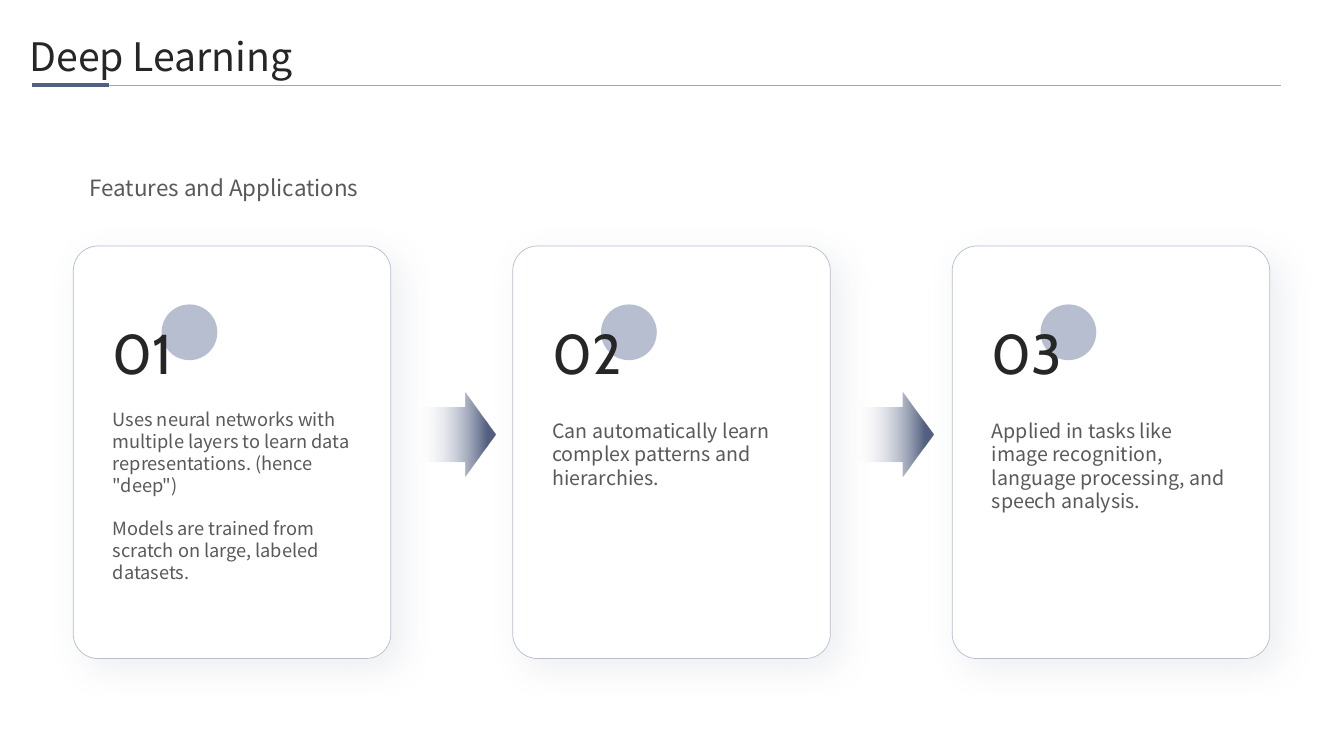
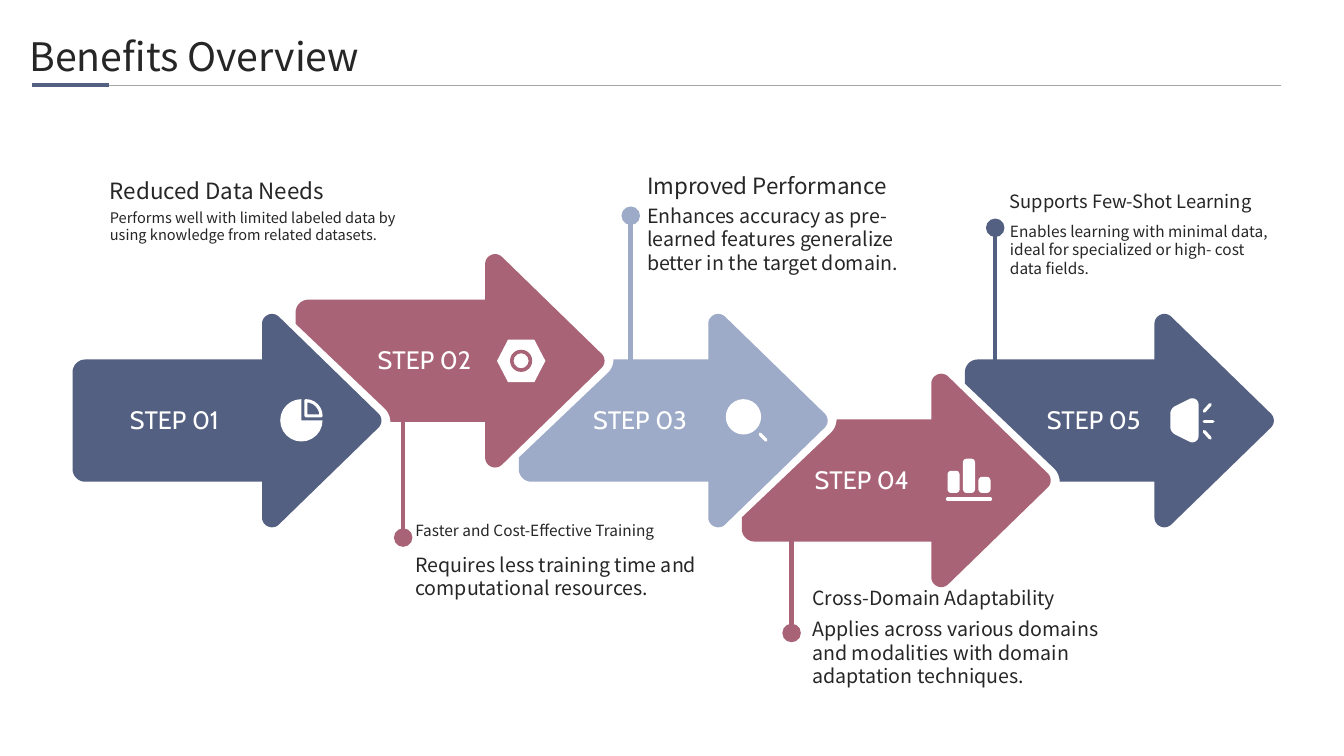
from math import atan2, dist, pi, tan

from lxml import etree
from pptx import Presentation
from pptx.dml.color import RGBColor
from pptx.enum.shapes import MSO_CONNECTOR, MSO_SHAPE
from pptx.enum.text import MSO_ANCHOR, MSO_AUTO_SIZE, PP_ALIGN
from pptx.oxml import parse_xml
from pptx.oxml.ns import nsdecls, qn
from pptx.util import Inches, Pt

COLORS = {name: RGBColor.from_string(value) for name, value in {
    "navy": "536081", "rose": "A96377", "sky": "9DABC8", "mist": "B6BED0",
    "white": "FFFFFF", "ink": "262626", "gray": "595959", "rule": "A6A6A6",
}.items()}
BODY_FONT, NUMBER_FONT = "Noto Sans CJK SC", "Cabin"

presentation = Presentation()
presentation.slide_width = Inches(13.3333)
presentation.slide_height = Inches(7.5)
# The grid has 100 square cells across the slide; every length counts cells.
CELL = presentation.slide_width / 100


def add_preset(slide, kind, box, color, adjustments=()):
    shape = slide.shapes.add_shape(kind, *(round(value * CELL) for value in box))
    shape.shadow.inherit = False
    shape.fill.solid()
    shape.fill.fore_color.rgb = COLORS[color]
    shape.line.fill.background()
    for index, value in enumerate(adjustments):
        shape.adjustments[index] = value
    return shape


def fill_text(shape, box, texts, size, color, font=BODY_FONT,
              anchor=MSO_ANCHOR.TOP, align=PP_ALIGN.LEFT, gap=0):
    """Place a text shape without margins and give it one paragraph per text."""
    shape.left, shape.top, shape.width, shape.height = (round(value * CELL) for value in box)
    frame = shape.text_frame
    frame.margin_left = frame.margin_right = frame.margin_top = frame.margin_bottom = 0
    frame.word_wrap = True
    frame.auto_size = MSO_AUTO_SIZE.NONE
    frame.vertical_anchor = anchor
    frame.text = "\n".join(texts)
    for index, paragraph in enumerate(frame.paragraphs):
        paragraph.alignment = align
        paragraph.space_before = Pt(gap if index else 0)
        paragraph.font.size = Pt(size)
        paragraph.font.name = font
        paragraph.font.color.rgb = COLORS[color]


# Titles and the rules below them
lines = []  # slide, color, width in points, from x, from y, to x, to y
slides = []
for title in ("Deep Learning", "Benefits Overview"):
    slide = presentation.slides.add_slide(presentation.slide_layouts[5])
    fill_text(slide.shapes.title, (2.2, 2.4, 92.3, 3.6), [title], 28, "ink")
    lines.append((slide, "rule", 0.5, 2.5, 6.33, 95.35, 6.33))
    lines.append((slide, "navy", 3.5, 2.38, 6.33, 8.12, 6.33))
    slides.append(slide)
features, benefits = slides

# Features: three cards joined by arrows
fill_text(features.shapes.add_textbox(0, 0, 0, 0), (6.68, 10.73, 87.75, 6.45),
          ["Features and Applications"], 16, "gray", anchor=MSO_ANCHOR.MIDDLE)
CARD_LEFT, CARD_PITCH = 5.45, 32.7
cards = [
    (30.4, 13, ["Uses neural networks with multiple layers to learn data "
                "representations. (hence \"deep\")",
                "Models are trained from scratch on large, labeled datasets."]),
    (31.13, 14, ["Can automatically learn complex patterns and hierarchies."]),
    (31.13, 14, ["Applied in tasks like image recognition, language processing, "
                 "and speech analysis."]),
]
for index, (text_top, size, texts) in enumerate(cards):
    left = CARD_LEFT + index * CARD_PITCH
    card = add_preset(features, MSO_SHAPE.ROUNDED_RECTANGLE,
                      (left, 18.3, 23.63, 30.7), "white", [0.078])
    card.line.color.rgb = COLORS["mist"]
    card.line.width = Pt(0.5)
    card._element.spPr.find(qn("a:effectLst")).append(parse_xml(
        f'<a:outerShdw {nsdecls("a")} blurRad="{Pt(25)}" dist="{Pt(10)}" dir="2700000" '
        f'algn="tl" rotWithShape="0"><a:srgbClr val="{COLORS["navy"]}">'
        '<a:alpha val="10000"/></a:srgbClr></a:outerShdw>'))
    add_preset(features, MSO_SHAPE.OVAL, (left + 6.57, 22.65, 4.15, 4.15), "mist")
    fill_text(features.shapes.add_textbox(0, 0, 0, 0), (left + 2.95, 23.92, 7.05, 4.57),
              [f"{index + 1:02}"], 40, "ink", NUMBER_FONT, MSO_ANCHOR.MIDDLE)
    fill_text(features.shapes.add_textbox(0, 0, 0, 0), (left + 2.95, text_top, 17.7, 13),
              texts, size, "gray", gap=15.5)

for index in range(len(cards) - 1):
    arrow = add_preset(features, MSO_SHAPE.RIGHT_ARROW,
                       (30.45 + index * 32.55, 29.2, 6.45, 6.22), "navy", [0.648, 0.368])
    arrow.fill.gradient()
    arrow.fill.gradient_angle = 0
    for stop, color, position in zip(arrow.fill.gradient_stops, ("white", "navy"), (0.1, 0.9)):
        stop.color.rgb = COLORS[color]
        stop.position = position
    clear_color = arrow._element.xpath(".//a:gs/a:srgbClr")[0]
    etree.SubElement(clear_color, qn("a:alpha")).set("val", "0")

# Benefits: outlines are corners (x, y, rounding), arrows start at their tail's middle
HEAD = [(14.1, -4.55, 0), (14.1, -8.95, 1.75), (23.3, 0, 0.75),
        (14.1, 8.95, 1.75), (14.1, 4.55, 0)]
WHOLE_TAIL = [(0, 4.55, 0.95), (0, -4.55, 0.95)]
CUT_TAIL = [(7.05, 4.55, 0), (7.05, 3.95, 0.6), (0, -2.75, 0), (0, -4.55, 0.95)]
STEP_LEFT, STEP_PITCH, STEP_MIDDLE, STEP_RISE = 5.4, 16.6, 31.3, 4.45
# color, rise, tail, side of the cut (1 below, -1 above), label indent
steps = [
    ("navy", 0, WHOLE_TAIL, 1, 1.65),
    ("rose", 1, CUT_TAIL, 1, 3.65),
    ("sky", 0, CUT_TAIL, -1, 3.1),
    ("rose", -1, CUT_TAIL, -1, 3),
    ("navy", 0, CUT_TAIL, 1, 3.65),
]
step_places = [(STEP_LEFT + index * STEP_PITCH, STEP_MIDDLE - step[1] * STEP_RISE)
               for index, step in enumerate(steps)]
outlines = [
    (color, [(left + x, middle + side * y, rounding) for x, y, rounding in HEAD + tail])
    for (left, middle), (color, rise, tail, side, indent) in zip(step_places, steps)
]
speaker = [(87.08, 30.4, 0.4), (89.18, 29.35, 0.75), (89.18, 33.2, 0.75), (87.08, 32.15, 0.4)]
outlines.append(("white", speaker))

for color, corners in outlines:
    points = []
    for index, (x, y, rounding) in enumerate(corners):
        if not rounding:
            points.append((x, y))
            continue
        before, after = corners[index - 1][:2], corners[(index + 1) % len(corners)][:2]
        start, end = (
            tuple(c + (n - c) * rounding / dist((x, y), neighbor)
                  for c, n in zip((x, y), neighbor))
            for neighbor in (before, after))
        turn = abs(atan2(y - before[1], x - before[0]) - atan2(after[1] - y, after[0] - x))
        turn = min(turn, 2 * pi - turn)
        pull = 4 / 3 * tan(turn / 4) / tan(turn / 2)  # makes the curve a circular arc
        for t in (number / 12 for number in range(13)):
            points.append(tuple(
                (1 - t) ** 3 * s + 3 * (1 - t) ** 2 * t * (s + (c - s) * pull)
                + 3 * (1 - t) * t ** 2 * (e + (c - e) * pull) + t ** 3 * e
                for s, c, e in zip(start, (x, y), end)))
    points = [(round(x * CELL), round(y * CELL)) for x, y in points]
    builder = benefits.shapes.build_freeform(*points[0])
    builder.add_line_segments(points[1:], close=True)
    outline = builder.convert_to_shape()
    outline.shadow.inherit = False
    outline.fill.solid()
    outline.fill.fore_color.rgb = COLORS[color]
    outline.line.fill.background()

for index, ((left, middle), step) in enumerate(zip(step_places, steps)):
    fill_text(benefits.shapes.add_textbox(0, 0, 0, 0),
              (left + step[-1], middle - 1.5, 11.85, 2.85), [f"STEP {index + 1:02}"],
              18, "white", NUMBER_FONT, MSO_ANCHOR.MIDDLE, PP_ALIGN.CENTER)

# Step icons
add_preset(benefits, MSO_SHAPE.PIE, (20.85, 29.7, 3.15, 3.15), "white", [0, 162])
slice_outline = add_preset(benefits, MSO_SHAPE.PIE, (21.63, 29.81, 2.26, 2.26), "white", [162, 0])
slice_outline.fill.background()
slice_outline.line.color.rgb = COLORS["white"]
slice_outline.line.width = Pt(2.2)
add_preset(benefits, MSO_SHAPE.HEXAGON, (36.98, 25.28, 3.6, 3.15), "white", [0.26])
add_preset(benefits, MSO_SHAPE.DONUT, (37.95, 26.02, 1.65, 1.65), "rose", [0.16])
add_preset(benefits, MSO_SHAPE.OVAL, (54, 29.7, 2.63, 2.63), "white")
for index, height in enumerate((1.65, 2.55, 1.2)):
    add_preset(benefits, MSO_SHAPE.ROUNDED_RECTANGLE,
               (70.5 + index * 1.15, 36.68 - height, 0.9, height), "white", [0.3])
for ends in (
    (56.55, 32.3, 57, 32.75),
    (70.5, 37.13, 73.7, 37.13),
    (89.6, 30.6, 90.05, 30.1),
    (89.6, 31.35, 90.25, 31.35),
    (89.6, 32.1, 90.05, 32.6),
):
    lines.append((benefits, "white", 2.3, *ends))

# Callouts: left, top, width, heading size, body size, dot center, heading, body
callouts = [
    (8.18, 13.2, 21.85, 16, 10.4, None, "Reduced Data Needs",
     "Performs well with limited labeled data by using knowledge from related datasets."),
    (30.9, 38.78, 21.85, 11, 14, (30, 40), "Faster and Cost-Effective Training",
     "Requires less training time and computational resources."),
    (48.15, 12.83, 21.85, 16, 14, (46.93, 16.05), "Improved Performance",
     "Enhances accuracy as pre- learned features generalize better in the target domain."),
    (60.45, 43.58, 21.85, 13.9, 14, (58.9, 47.1), "Cross-Domain Adaptability",
     "Applies across various domains and modalities with domain adaptation techniques."),
    (75.15, 14.18, 19.3, 13.1, 11, (74.05, 16.95), "Supports Few-Shot Learning",
     "Enables learning with minimal data, ideal for specialized or high- cost data fields."),
]
DOT = 1.38
for step, (step_left, middle), callout in zip(steps, step_places, callouts):
    left, top, width, heading_size, body_size, dot, heading, body = callout
    fill_text(benefits.shapes.add_textbox(0, 0, 0, 0), (left, top, width, 1.65),
              [heading], heading_size, "ink")
    fill_text(benefits.shapes.add_textbox(0, 0, 0, 0), (left, top + 2.33, width, 7),
              [body], body_size, "ink")
    if dot:
        x, y = dot
        add_preset(benefits, MSO_SHAPE.OVAL, (x - DOT / 2, y - DOT / 2, DOT, DOT), step[0])
        lines.append((benefits, step[0], 3.2, x, y, x, middle + (2.6 if y > middle else -2.6)))

for slide, color, width, *ends in lines:
    line = slide.shapes.add_connector(MSO_CONNECTOR.STRAIGHT,
                                      *(round(value * CELL) for value in ends))
    line.line.color.rgb = COLORS[color]
    line.line.width = Pt(width)
    properties = line._element.spPr
    properties.find(qn("a:ln")).set("cap", "rnd" if color == "white" else "flat")
    etree.SubElement(properties, qn("a:effectLst"))

presentation.save("out.pptx")
